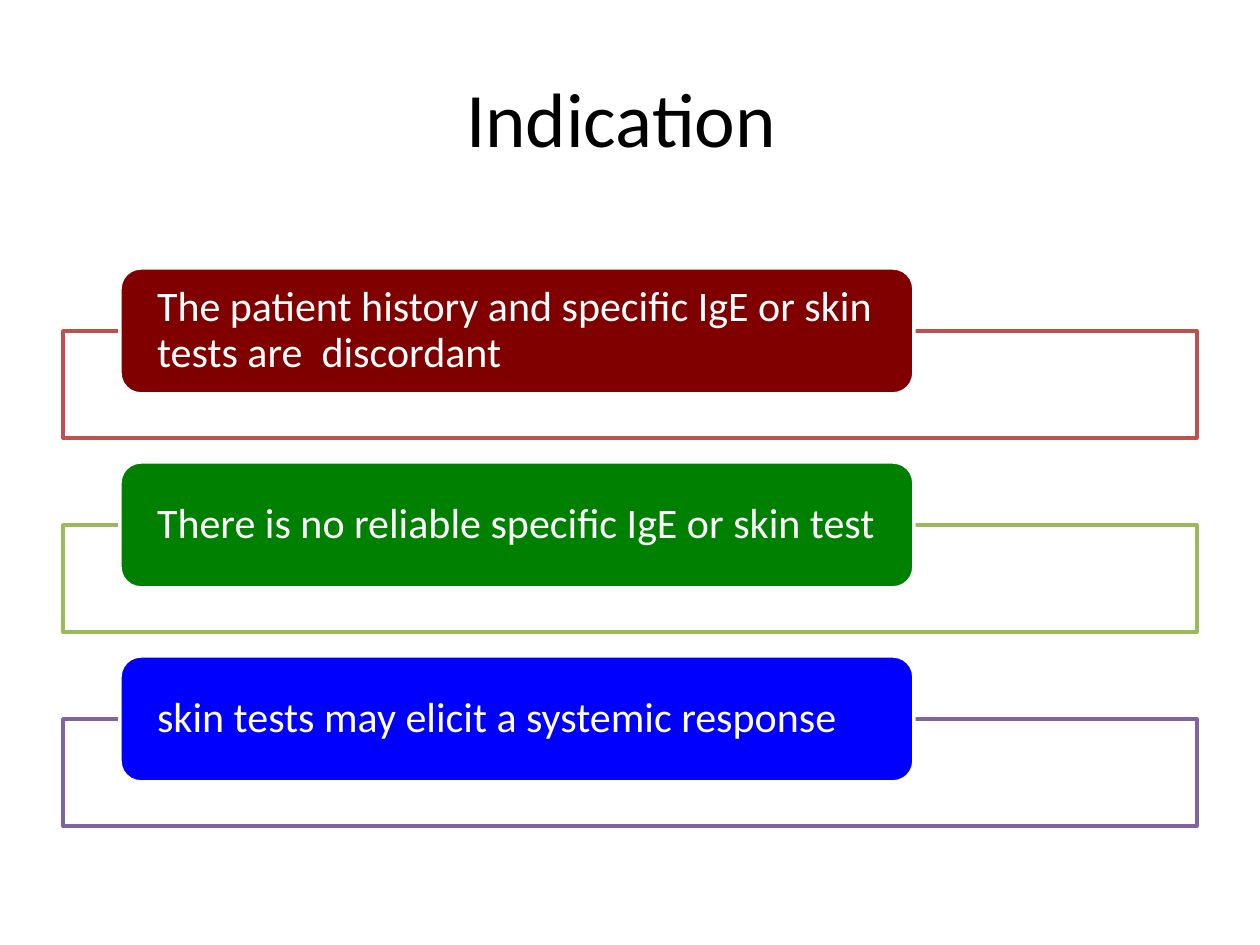
from pptx import Presentation, util as u
from pptx.dml.color import RGBColor
from pptx.enum import shapes, text

WHITE = RGBColor(0xFF, 0xFF, 0xFF)
BLACK = RGBColor(0x00, 0x00, 0x00)
MAROON, RED = RGBColor(0x80, 0x00, 0x00), RGBColor(0xC0, 0x50, 0x4D)
GREEN, OLIVE = RGBColor(0x00, 0x80, 0x00), RGBColor(0x9B, 0xBB, 0x59)
BLUE, PURPLE = RGBColor(0x00, 0x00, 0xFF), RGBColor(0x80, 0x64, 0xA2)

TITLE = "Indication "
INDICATIONS = [  # wording, label fill, frame line
    ("The patient history and specific IgE or skin tests are  discordant", MAROON, RED),
    ("There is no reliable specific IgE or skin test", GREEN, OLIVE),
    ("skin tests may elicit a systemic response", BLUE, PURPLE),
]

PX = u.Inches(1) // 126
LEFT, WIDTH = 63, 1134
LABEL_LEFT, LABEL_TOP, LABEL_WIDTH, LABEL_HEIGHT = 120, 268, 794, 126
FRAME_HEIGHT = 107
PITCH = 194
LABEL_INSET = 37


def px(*lengths):
    return [length * PX for length in lengths]


def add_block(page, preset, place, fill, line):
    block = page.shapes.add_shape(preset, *px(*place))
    block.shadow.inherit = False
    block.fill.solid()
    block.fill.fore_color.rgb = fill
    block.line.color.rgb = line
    block.line.width = u.Pt(2)
    return block


def write(shape, wording, size, color, align):
    frame = shape.text_frame
    frame.word_wrap = True
    frame.vertical_anchor = text.MSO_ANCHOR.MIDDLE
    para = frame.paragraphs[0]
    para.text = wording
    para.alignment = align
    para.font.name = "Calibri"
    para.font.size = u.Pt(size)
    para.font.color.rgb = color
    return frame


deck = Presentation()
deck.slide_width, deck.slide_height = u.Inches(10), u.Inches(7.5)
page = deck.slides.add_slide(deck.slide_layouts[6])

title = page.shapes.add_textbox(*px(LEFT, 38, WIDTH, 158))
write(title, TITLE, 44, BLACK, text.PP_ALIGN.CENTER)

for row, (wording, fill, line) in enumerate(INDICATIONS):
    top = LABEL_TOP + row * PITCH
    add_block(page, shapes.MSO_SHAPE.RECTANGLE,
              (LEFT, top + LABEL_HEIGHT // 2, WIDTH, FRAME_HEIGHT), WHITE, line)
    label = add_block(page, shapes.MSO_SHAPE.ROUNDED_RECTANGLE,
                      (LABEL_LEFT, top, LABEL_WIDTH, LABEL_HEIGHT), fill, WHITE)
    frame = write(label, wording, 24, WHITE, text.PP_ALIGN.LEFT)
    # The rounded preset already insets its text by about 6 px.
    frame.margin_left = frame.margin_right = (LABEL_INSET - 6) * PX
    frame.margin_top = frame.margin_bottom = 0
    frame.paragraphs[0].line_spacing = 0.9

deck.save("out.pptx")
